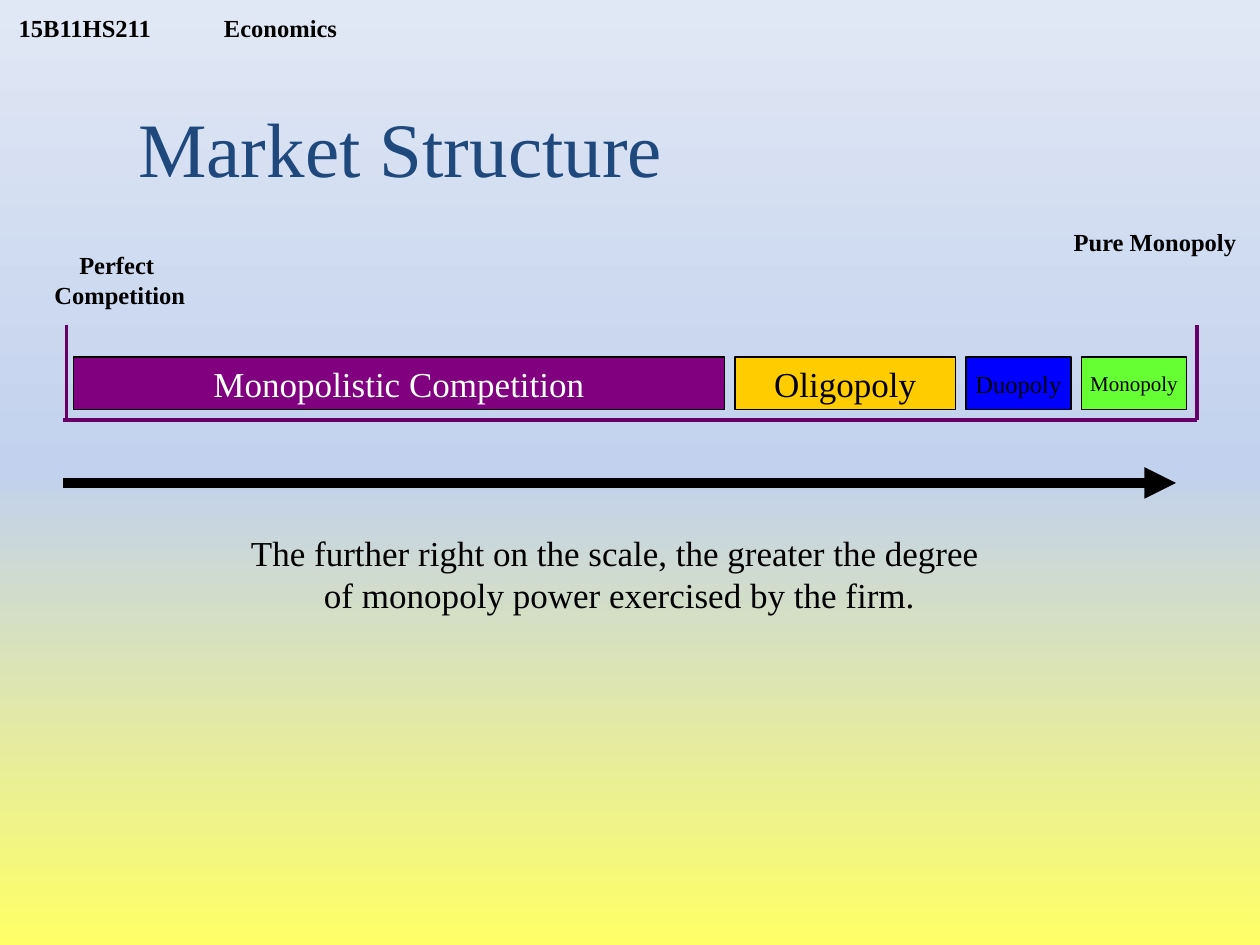
from lxml import etree
from pptx import Presentation
from pptx.dml.color import RGBColor
from pptx.enum import shapes, text
from pptx.oxml import parse_xml
from pptx.oxml.ns import nsdecls, qn
from pptx.util import Pt

FONT = "Times New Roman"
COLORS = {
    "black": "000000", "white": "FFFFFF", "title": "1F497D", "scale": "660066",
    "purple": "800080", "gold": "FFCC00", "blue": "0000FF", "green": "66FF33",
    "bottom": "FFFF66", "middle": "C2D1ED", "top": "E1E8F5",
}
CENTER, LEFT = text.PP_ALIGN.CENTER, text.PP_ALIGN.LEFT


def write(shape, content, size, color="black", bold=False, align=CENTER, wrap=True):
    frame = shape.text_frame
    frame.word_wrap = wrap
    frame.text = content
    for paragraph in frame.paragraphs:
        paragraph.alignment = align
        paragraph.font.name = FONT
        paragraph.font.size = Pt(size)
        paragraph.font.bold = bold
        paragraph.font.color.rgb = RGBColor.from_string(COLORS[color])
    return frame


def add_line(x1, y1, x2, y2, color, width):
    line = slide.shapes.add_connector(
        shapes.MSO_CONNECTOR.STRAIGHT, Pt(x1), Pt(y1), Pt(x2), Pt(y2))
    line.line.color.rgb = RGBColor.from_string(COLORS[color])
    line.line.width = Pt(width)
    etree.SubElement(line._element.spPr, qn("a:effectLst"))
    return line


presentation = Presentation()
presentation.slide_width, presentation.slide_height = Pt(720), Pt(540)
slide = presentation.slides.add_slide(presentation.slide_layouts[6])

# Background gradient, running upwards
fill = slide.background.fill
fill.gradient()
stops = "".join(
    f'<a:gs pos="{position}"><a:srgbClr val="{COLORS[name]}"/></a:gs>'
    for position, name in ((0, "bottom"), (50000, "middle"), (100000, "top")))
gradient = slide.background._cSld.find(".//" + qn("a:gradFill"))
gradient.getparent().replace(gradient, parse_xml(
    f'<a:gradFill {nsdecls("a")} rotWithShape="1"><a:gsLst>{stops}</a:gsLst>'
    '<a:lin ang="16200000" scaled="0"/></a:gradFill>'))

# Course header, with a tab stop between code and subject
header = slide.shapes.add_textbox(Pt(3.6), Pt(0), Pt(230.4), Pt(24))
frame = write(header, "15B11HS211\tEconomics", 14, bold=True, align=LEFT)
frame.margin_top = frame.margin_bottom = 0
frame.vertical_anchor = text.MSO_ANCHOR.BOTTOM
properties = frame.paragraphs[0]._p.get_or_add_pPr()
properties.insert(0, parse_xml(
    f'<a:tabLst {nsdecls("a")}><a:tab pos="{Pt(117.3)}" algn="l"/></a:tabLst>'))

# Scale bracket
for x1, y1, x2, y2 in ((38, 186, 38, 240), (36, 240, 684, 240), (684, 186, 684, 240)):
    add_line(x1, y1, x2, y2, "scale", 2.25)

# Title, end labels and caption
for content, left, top, width, height, size, color, bold, align, wrap in (
    ("Perfect \nCompetition", 13, 139.5, 111, 41, 14, "black", True, CENTER, False),
    ("Pure Monopoly", 606, 126, 108, 41, 14, "black", True, CENTER, False),
    ("The further right on the scale, the greater the degree \v"
     "of monopoly power exercised by the firm.",
     36, 300, 636, 55.5, 20, "black", False, CENTER, True),
    ("Market Structure", 72, 54, 546, 60, 44, "title", False, LEFT, True),
):
    box = slide.shapes.add_textbox(Pt(left), Pt(top), Pt(width), Pt(height))
    write(box, content, size, color, bold, align, wrap)

# Market forms, side by side on the scale
left, gap = 42, 6
for name, width, fill_color, font_color, size in (
    ("Monopolistic Competition", 372, "purple", "white", 20),
    ("Oligopoly", 126, "gold", "black", 20),
    ("Duopoly", 60, "blue", "black", 14),
    ("Monopoly", 60, "green", "black", 12),
):
    bar = slide.shapes.add_shape(
        shapes.MSO_SHAPE.RECTANGLE, Pt(left), Pt(204), Pt(width), Pt(30))
    bar.shadow.inherit = False
    bar.fill.solid()
    bar.fill.fore_color.rgb = RGBColor.from_string(COLORS[fill_color])
    bar.line.color.rgb = RGBColor.from_string(COLORS["black"])
    bar.line.width = Pt(0.75)
    frame = write(bar, name, size, font_color, wrap=False)
    frame.vertical_anchor = text.MSO_ANCHOR.MIDDLE
    left += width + gap

# Arrow towards greater monopoly power
arrow = add_line(36, 276, 672, 276, "black", 6)
etree.SubElement(arrow.line._get_or_add_ln(), qn("a:tailEnd"), type="triangle")

presentation.save("out.pptx")
